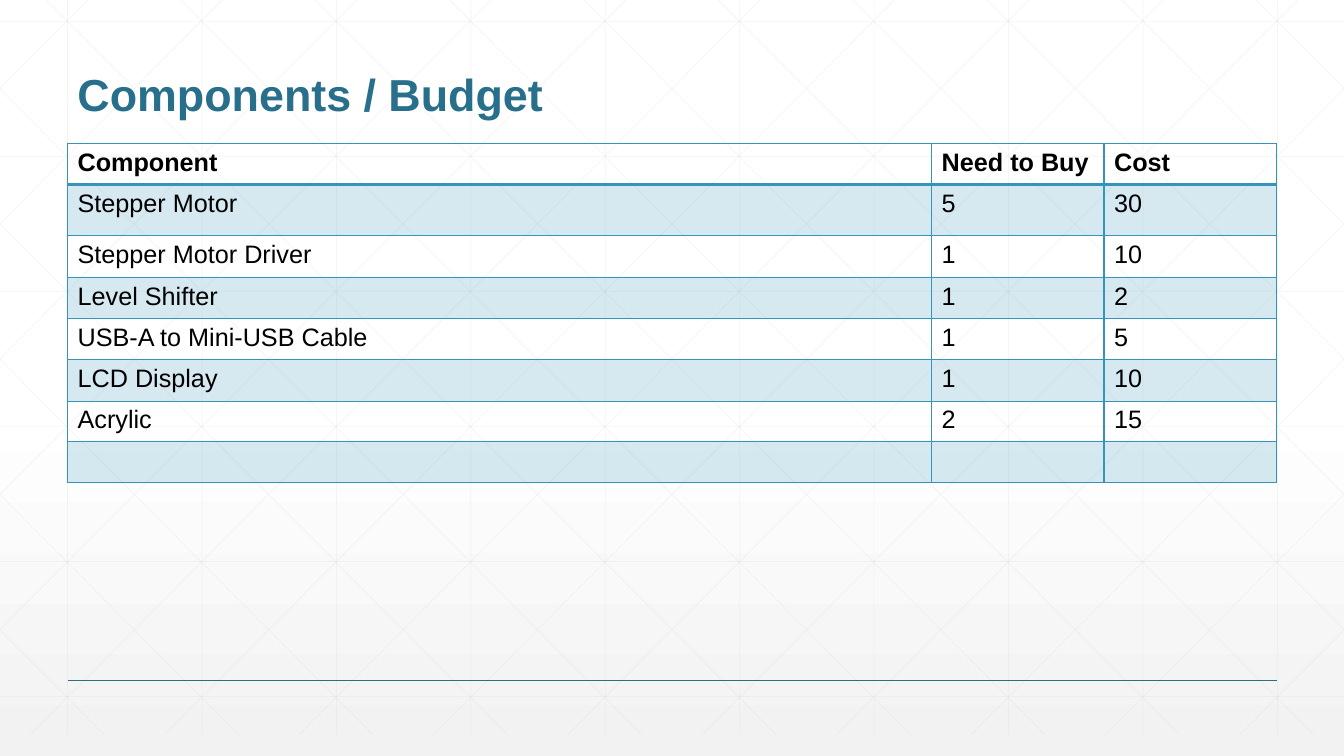
from lxml.etree import SubElement
from pptx import Presentation
from pptx.dml.color import RGBColor
from pptx.enum.shapes import MSO_CONNECTOR
from pptx.enum.text import MSO_ANCHOR
from pptx.oxml.ns import qn
from pptx.util import Inches, Pt

WHITE = RGBColor(0xFF, 0xFF, 0xFF)
BLACK = RGBColor(0x00, 0x00, 0x00)
PALE_GRAY = RGBColor(0xF2, 0xF2, 0xF2)
GRID_GRAY = RGBColor(0xD9, 0xD9, 0xD9)
DEEP_TEAL = RGBColor(0x27, 0x6F, 0x8B)
BLUE = RGBColor(0x34, 0x94, 0xBA)

WIDTH, HEIGHT = 13.33, 7.5
GRID_TOP, GRID_BOTTOM = -0.21, 7.29
GRID_STEP = 4 / 3
DIAGONAL_RUN = 7.45

COLUMN_WIDTHS = [8.57, 1.71, 1.71]
ROW_HEIGHTS = [0.41, 0.51, 0.41, 0.41, 0.41, 0.41, 0.38, 0.41]
BUDGET = [
    ("Component", "Need to Buy", "Cost"),
    ("Stepper Motor", "5", "30"),
    ("Stepper Motor Driver", "1", "10"),
    ("Level Shifter", "1", "2"),
    ("USB-A to Mini-USB Cable", "1", "5"),
    ("LCD Display", "1", "10"),
    ("Acrylic", "2", "15"),
    ("", "", ""),
]


def set_opacity(element, percent):
    for color in element.iter(qn("a:srgbClr")):
        SubElement(color, qn("a:alpha"), val=str(percent * 1000))


class BudgetSlide:
    font_name = "Arial"

    def __init__(self, slide):
        self.slide = slide

    def background(self):
        fill = self.slide.background.fill
        fill.gradient()
        fill.gradient_angle = 270
        for stop, color, position in zip(fill.gradient_stops, (WHITE, PALE_GRAY), (0.53, 1)):
            stop.color.rgb = color
            stop.position = position

    def line(self, start, end, color, width, opacity=100):
        connector = self.slide.shapes.add_connector(
            MSO_CONNECTOR.STRAIGHT, *(Inches(value) for value in (*start, *end)))
        connector.line.color.rgb = color
        connector.line.width = Pt(width)
        properties = connector._element.spPr
        if opacity < 100:
            set_opacity(properties, opacity)
        SubElement(properties, qn("a:effectLst"))

    def grid_line(self, start, end):
        self.line(start, end, GRID_GRAY, 0.5, opacity=25)

    def grid(self):
        for column in range(10):
            x = 0.67 + column * GRID_STEP
            self.grid_line((x, GRID_TOP), (x, GRID_BOTTOM))
        for row in range(6):
            y = 0.21 + row * 1.34
            self.grid_line((0, y), (WIDTH, y))
        for diagonal in range(-5, 10):
            self.diagonal_pair(0.25 + diagonal * GRID_STEP)

    def diagonal_pair(self, top_x):
        """Draw a falling line cut at the slide's sides, and its mirror image."""
        slope = (GRID_BOTTOM - GRID_TOP) / DIAGONAL_RUN
        left, right = max(top_x, 0), min(top_x + DIAGONAL_RUN, WIDTH)
        upper, lower = (GRID_TOP + (x - top_x) * slope for x in (left, right))
        self.grid_line((left, upper), (right, lower))
        self.grid_line((WIDTH - left, upper), (WIDTH - right, lower))

    def add_text(self, frame, text, color, **font_format):
        run = frame.paragraphs[0].add_run()
        run.text = text
        run.font.color.rgb = color
        for name, value in {"name": self.font_name, **font_format}.items():
            setattr(run.font, name, value)

    def title(self, text, left, top, width, height):
        frame = self.slide.shapes.add_textbox(
            *(Inches(value) for value in (left, top, width, height))).text_frame
        for name, value in {"word_wrap": True, "vertical_anchor": MSO_ANCHOR.BOTTOM}.items():
            setattr(frame, name, value)
        frame.paragraphs[0].line_spacing = 0.9
        self.add_text(frame, text, DEEP_TEAL, size=Pt(32), bold=True)

    def borders(self, cell, widths):
        properties = cell._tc.get_or_add_tcPr()
        for side, width in widths.items():
            border = SubElement(properties, qn(f"a:ln{side}"), w=str(Pt(width)))
            SubElement(SubElement(border, qn("a:solidFill")), qn("a:srgbClr"), val=str(BLUE))

    def shade(self, cell, banded):
        if banded:
            cell.fill.solid()
            cell.fill.fore_color.rgb = BLUE
            set_opacity(cell._tc.tcPr.find(qn("a:solidFill")), 20)
        else:
            cell.fill.background()

    def table(self, rows, left, top):
        table = self.slide.shapes.add_table(
            len(rows), len(COLUMN_WIDTHS), Inches(left), Inches(top),
            Inches(sum(COLUMN_WIDTHS)), Inches(sum(ROW_HEIGHTS))).table
        for column, width in zip(table.columns, COLUMN_WIDTHS):
            column.width = Inches(width)
        for index, (row, height, texts) in enumerate(zip(table.rows, ROW_HEIGHTS, rows)):
            row.height = Inches(height)
            for cell, text in zip(row.cells, texts):
                self.borders(cell, {"L": 1, "R": 1, "T": 2 if index == 1 else 1,
                                    "B": 2 if index == 0 else 1})
                self.shade(cell, banded=index % 2 == 1)
                if text:
                    self.add_text(cell.text_frame, text, BLACK, size=Pt(18), bold=index == 0)


def main():
    presentation = Presentation()
    presentation.slide_width = Inches(WIDTH)
    presentation.slide_height = Inches(HEIGHT)
    budget = BudgetSlide(presentation.slides.add_slide(presentation.slide_layouts[6]))
    budget.background()
    budget.grid()
    budget.line((0.67, 6.75), (12.67, 6.75), DEEP_TEAL, 1)
    budget.title("Components / Budget", 0.67, 0.25, 12, 1)
    budget.table(BUDGET, 0.67, 1.42)
    presentation.save("out.pptx")


if __name__ == "__main__":
    main()
